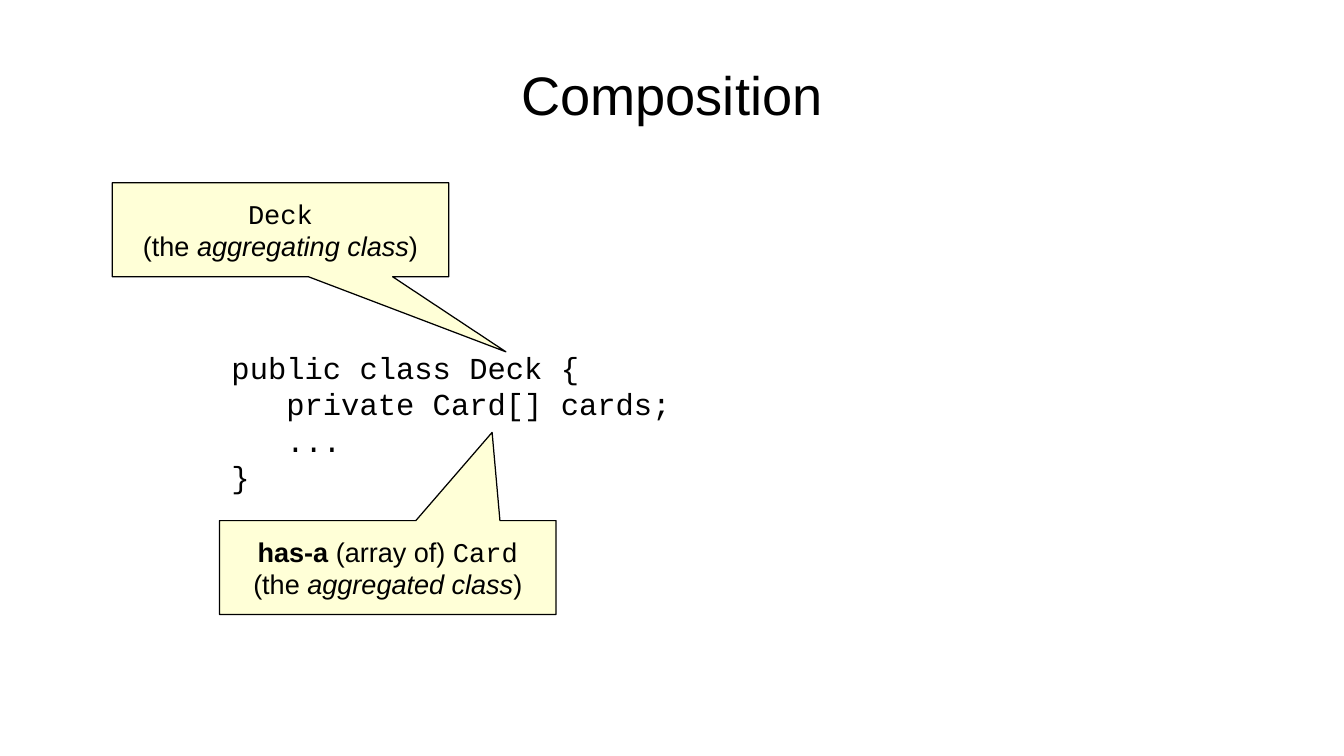
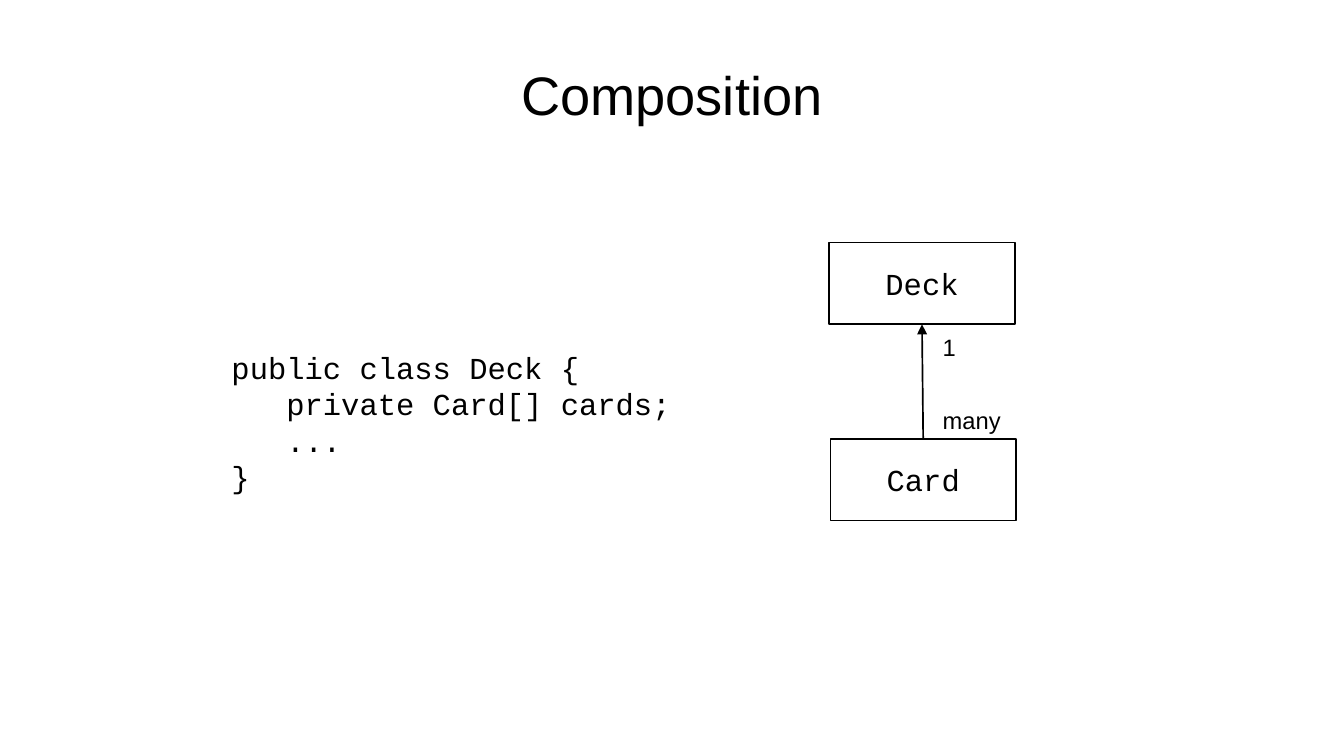
from dataclasses import dataclass

from lxml.etree import SubElement
from pptx import Presentation
from pptx.dml.color import RGBColor
from pptx.enum.shapes import MSO_CONNECTOR, MSO_SHAPE
from pptx.enum.text import MSO_ANCHOR, MSO_AUTO_SIZE, PP_ALIGN
from pptx.oxml.ns import qn
from pptx.shapes.autoshape import Shape
from pptx.slide import Slide
from pptx.text.text import TextFrame
from pptx.util import Pt

COLORS = {"ink": "000000", "paper": "FFFFFF", "note": "FFFFD7"}
SANS = "Arial"
MONO = "Courier New"
SLIDE_SIZE = (793.44, 446.4)
CODE_SIZE = 18
CODE_INDENT = 32.4
CALLOUT_SIZE = (198.72, 55.44)
CLASS_SIZE = (109.44, 48.24)
LABEL_LEFT = 549.4
LABEL_HEIGHT = 23


@dataclass(frozen=True)
class Span:
    text: str
    font: str = SANS
    size: float = 16
    bold: bool = False
    italic: bool = False


@dataclass(frozen=True)
class Line:
    spans: tuple[Span, ...]
    indent: float = 0


@dataclass(frozen=True)
class Callout:
    left: float
    top: float
    tip: tuple[float, float]
    lines: tuple[Line, ...]


@dataclass(frozen=True)
class ClassBox:
    name: str
    left: float
    top: float


@dataclass(frozen=True)
class Label:
    text: str
    top: float
    width: float


TITLE = Line((Span("Composition", size=32),))
CODE = tuple(
    Line((Span(text, MONO, CODE_SIZE),), indent)
    for text, indent in (
        ("public class Deck {", 0),
        ("private Card[] cards;", CODE_INDENT),
        ("...", CODE_INDENT),
        ("}", 0),
    )
)


def role_line(role: str) -> Line:
    return Line((Span("(the "), Span(role, italic=True), Span(")")))


CALLOUTS = (
    Callout(129.6, 307.44, (0.31, -1.44), (
        Line((Span("has-a ", bold=True), Span("(array of) "), Span("Card", MONO))),
        role_line("aggregated class"),
    )),
    Callout(66.24, 108, (0.67, 1.3), (
        Line((Span("Deck", MONO),)),
        role_line("aggregating class"),
    )),
)
DECK = ClassBox("Deck", 489.6, 143.28)
CARD = ClassBox("Card", 490.3, 259.2)
LABELS = (Label("1", 193, 22.3), Label("many", 236.2, 48.2))


def color(name: str) -> RGBColor:
    return RGBColor.from_string(COLORS[name])


def write_lines(
    text_frame: TextFrame,
    lines: tuple[Line, ...],
    alignment: PP_ALIGN = PP_ALIGN.LEFT,
    anchor: MSO_ANCHOR = MSO_ANCHOR.TOP,
    insets: tuple[float, float] = (7.2, 3.6),
    wrap: bool = False,
) -> None:
    text_frame.auto_size = MSO_AUTO_SIZE.NONE
    text_frame.word_wrap = wrap
    text_frame.vertical_anchor = anchor
    text_frame.margin_left = text_frame.margin_right = Pt(insets[0])
    text_frame.margin_top = text_frame.margin_bottom = Pt(insets[1])
    for index, line in enumerate(lines):
        paragraph = text_frame.add_paragraph() if index else text_frame.paragraphs[0]
        paragraph.alignment = alignment
        if line.indent:
            paragraph._p.get_or_add_pPr().set("marL", str(Pt(line.indent)))
        for span in line.spans:
            run = paragraph.add_run()
            run.text = span.text
            run.font.name = span.font
            run.font.size = Pt(span.size)
            run.font.bold = span.bold
            run.font.italic = span.italic
            run.font.color.rgb = color("ink")


def add_text(
    slide: Slide, left: float, top: float, width: float, height: float, lines: tuple[Line, ...]
) -> None:
    box = slide.shapes.add_textbox(Pt(left), Pt(top), Pt(width), Pt(height))
    write_lines(box.text_frame, lines)


def add_outlined(
    slide: Slide,
    kind: MSO_SHAPE,
    position: tuple[float, float],
    size: tuple[float, float],
    fill: str,
    line_width: float,
) -> Shape:
    shape = slide.shapes.add_shape(kind, *(Pt(value) for value in position + size))
    shape.shadow.inherit = False
    shape.fill.solid()
    shape.fill.fore_color.rgb = color(fill)
    shape.line.color.rgb = color("ink")
    shape.line.width = Pt(line_width)
    return shape


def add_callout(slide: Slide, callout: Callout) -> None:
    shape = add_outlined(
        slide, MSO_SHAPE.RECTANGULAR_CALLOUT, (callout.left, callout.top), CALLOUT_SIZE, "note", 0
    )
    shape.adjustments[0], shape.adjustments[1] = callout.tip
    write_lines(shape.text_frame, callout.lines, PP_ALIGN.CENTER, MSO_ANCHOR.MIDDLE)


def add_class_box(slide: Slide, box: ClassBox) -> Shape:
    shape = add_outlined(
        slide, MSO_SHAPE.RECTANGLE, (box.left, box.top), CLASS_SIZE, "paper", 1
    )
    name = Line((Span(box.name, MONO, CODE_SIZE),))
    write_lines(shape.text_frame, (name,), PP_ALIGN.CENTER, MSO_ANCHOR.MIDDLE, (8, 4))
    return shape


def add_arrow(slide: Slide, lower: Shape, upper: Shape) -> None:
    connector = slide.shapes.add_connector(MSO_CONNECTOR.STRAIGHT, 0, 0, 0, 0)
    connector.begin_connect(lower, 0)
    connector.end_connect(upper, 2)
    connector.line.color.rgb = color("ink")
    connector.line.width = Pt(1)
    properties = connector._element.spPr
    SubElement(properties.find(qn("a:ln")), qn("a:tailEnd"), type="triangle")
    SubElement(properties, qn("a:effectLst"))


def add_code_slide(presentation: Presentation) -> Slide:
    slide = presentation.slides.add_slide(presentation.slide_layouts[5])
    title = slide.shapes.title
    title.left, title.top, title.width, title.height = Pt(39.6), Pt(18), Pt(714.24), Pt(74.88)
    write_lines(
        title.text_frame, (TITLE,), PP_ALIGN.CENTER, MSO_ANCHOR.MIDDLE, (0, 0), wrap=True
    )
    add_text(slide, 129.6, 202.32, 273.6, 109.44, CODE)
    return slide


def add_callout_slide(presentation: Presentation) -> None:
    slide = add_code_slide(presentation)
    for callout in CALLOUTS:
        add_callout(slide, callout)


def add_diagram_slide(presentation: Presentation) -> None:
    slide = add_code_slide(presentation)
    deck = add_class_box(slide, DECK)
    card = add_class_box(slide, CARD)
    add_arrow(slide, card, deck)
    for label in LABELS:
        line = Line((Span(label.text, size=14),))
        add_text(slide, LABEL_LEFT, label.top, label.width, LABEL_HEIGHT, (line,))


def main() -> None:
    presentation = Presentation()
    presentation.slide_width, presentation.slide_height = (Pt(value) for value in SLIDE_SIZE)
    add_callout_slide(presentation)
    add_diagram_slide(presentation)
    presentation.save("out.pptx")


if __name__ == "__main__":
    main()
